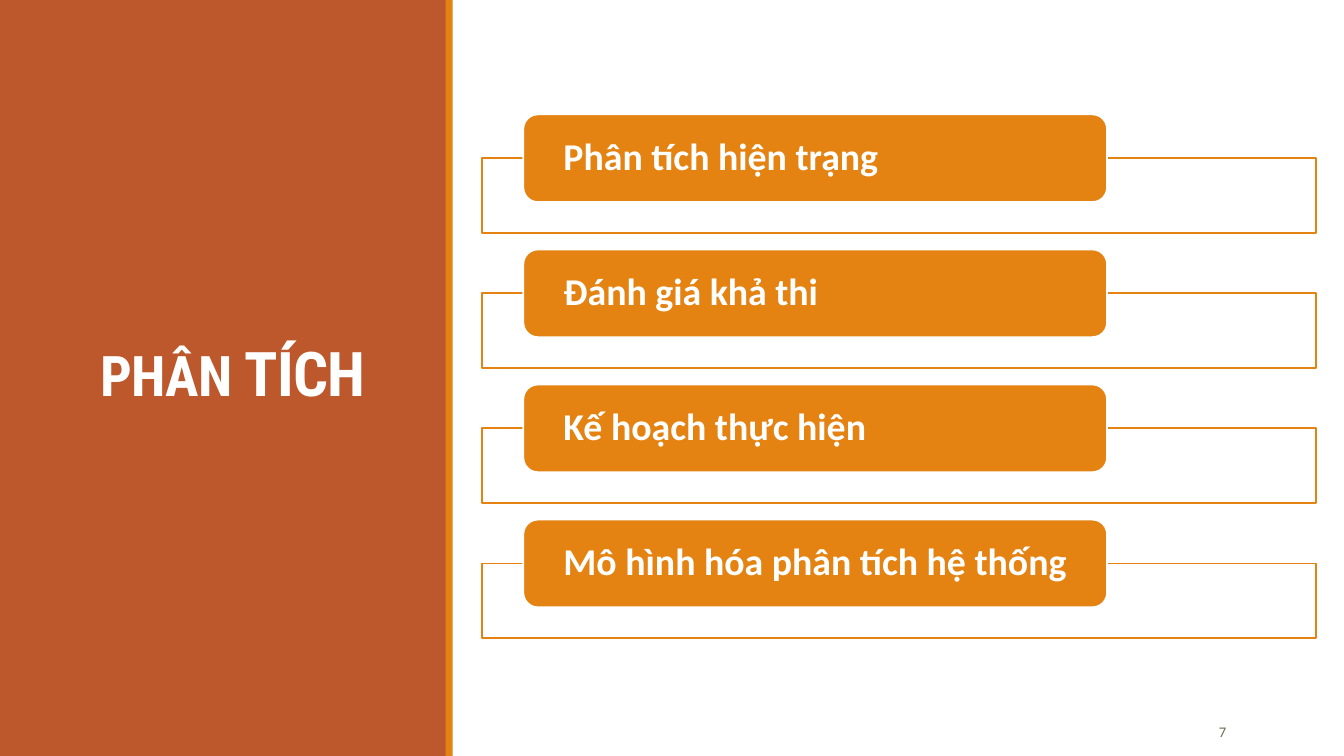
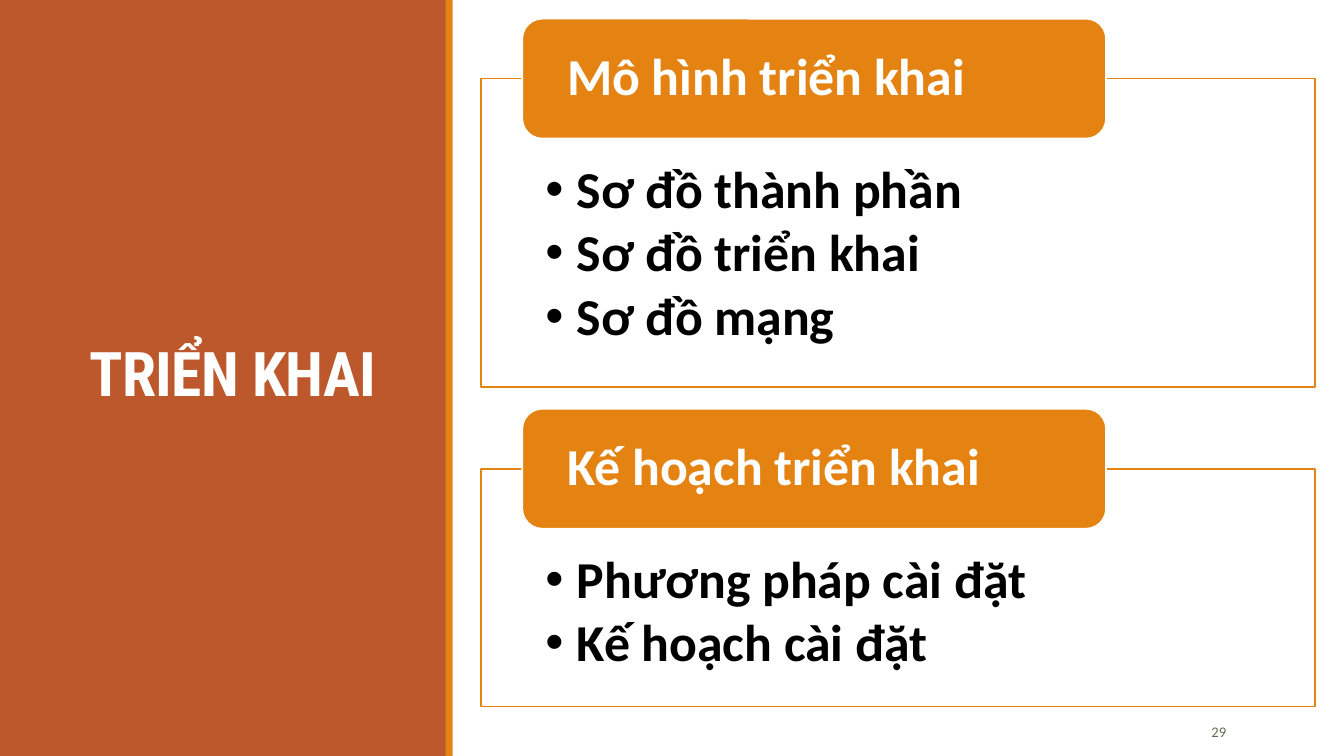
from pptx import Presentation
from pptx.dml.color import RGBColor
from pptx.enum.shapes import MSO_SHAPE as Shape
from pptx.enum.text import MSO_ANCHOR as Anchor, MSO_AUTO_SIZE as AutoSize, PP_ALIGN as Align
from pptx.util import Inches, Pt

RUST = RGBColor(0xBD, 0x58, 0x2C)
ORANGE = RGBColor(0xE4, 0x83, 0x12)
OLIVE = RGBColor(0x63, 0x70, 0x52)
WHITE = RGBColor(0xFF, 0xFF, 0xFF)
BLACK = RGBColor(0, 0, 0)
TITLE_FONT = "Roboto Condensed"
BODY_FONT = "Calibri"
TITLE_ONLY, TWO_CONTENT = 5, 3


def place(shape, left, top, width, height):
    """Move and size a shape, in inches."""
    shape.left, shape.top = Inches(left), Inches(top)
    shape.width, shape.height = Inches(width), Inches(height)


def paint(shape, fill, line=None):
    """Give a shape its fill and its outline."""
    shape.fill.solid()
    shape.fill.fore_color.rgb = fill
    if line is None:
        shape.line.fill.background()
    else:
        shape.line.color.rgb = line
        shape.line.width = Pt(1.25)


def add_box(slide, kind, box, fill, line=None):
    """Add a painted preset shape without a shadow."""
    shape = slide.shapes.add_shape(kind, *map(Inches, box))
    shape.shadow.inherit = False
    paint(shape, fill, line)
    return shape


def style_font(font, name, size, color, bold=True):
    """Set the typeface, size, colour and weight of a font."""
    font.name, font.size, font.bold = name, Pt(size), bold
    font.color.rgb = color


def set_insets(frame, left, top, right, bottom):
    """Set the inner margins of a text frame, in inches."""
    frame.margin_left, frame.margin_top = Inches(left), Inches(top)
    frame.margin_right, frame.margin_bottom = Inches(right), Inches(bottom)


def add_title_panel(slide, title_runs):
    """Draw the side band and set the title on it."""
    add_box(slide, Shape.RECTANGLE, (0, 0, 4.43, 7.5), RUST)
    add_box(slide, Shape.RECTANGLE, (4.42, 0, 0.07, 7.5), ORANGE)
    title = slide.shapes.title
    slide.shapes._spTree.append(title._element)
    place(title, 0.29, 0.66, 4.04, 6.17)
    frame = title.text_frame
    frame.auto_size = AutoSize.NONE
    frame.vertical_anchor = Anchor.MIDDLE
    paragraph = frame.paragraphs[0]
    paragraph.alignment = Align.CENTER
    paragraph.line_spacing = 0.85
    for text, size in title_runs:
        run = paragraph.add_run()
        run.text = text
        style_font(run.font, TITLE_FONT, size, WHITE)
        run.font._element.set("spc", "-50")


def add_page_number(slide, number):
    """Write the page number at the lower right."""
    box = slide.shapes.add_textbox(*map(Inches, (11.07, 7.06, 1.19, 0.4)))
    frame = box.text_frame
    frame.word_wrap = True
    frame.vertical_anchor = Anchor.MIDDLE
    paragraph = frame.paragraphs[0]
    paragraph.text = str(number)
    paragraph.alignment = Align.RIGHT
    style_font(paragraph.runs[0].font, BODY_FONT, 10.5, OLIVE, bold=False)


def add_tab(slide, frame_box, height, heading, size):
    """Add a heading tab centred on the top edge of a frame."""
    left, top = frame_box[:2]
    tab = add_box(slide, Shape.ROUNDED_RECTANGLE,
                  (left + 0.41, top - height / 2, 5.79, height), ORANGE, WHITE)
    frame = tab.text_frame
    frame.word_wrap = True
    frame.vertical_anchor = Anchor.MIDDLE
    set_insets(frame, 0.27 + size * 0.23 / 72, 0, 0.22, 0)
    paragraph = frame.paragraphs[0]
    paragraph.text = heading
    paragraph.alignment = Align.LEFT
    paragraph.line_spacing = 0.9
    style_font(paragraph.runs[0].font, BODY_FONT, size, WHITE)


def fill_list(placeholder, box, items, size):
    """Turn a body placeholder into a framed bullet list."""
    place(placeholder, *box)
    paint(placeholder, WHITE, ORANGE)
    frame = placeholder.text_frame
    frame.auto_size = AutoSize.NONE
    frame.vertical_anchor = Anchor.TOP
    set_insets(frame, 0.64, 0.84, 0.64, 0.29)
    frame.text = "\n".join(items)
    for paragraph in frame.paragraphs:
        paragraph.line_spacing = 0.9
        paragraph.space_before = Pt(0)
        paragraph.space_after = Pt(size * 0.15)
        properties = paragraph._p.get_or_add_pPr()
        properties.set("marL", str(Inches(0.31)))
        properties.set("indent", str(-Inches(0.31)))
        style_font(paragraph.runs[0].font, BODY_FONT, size, BLACK)


def add_section_slide(presentation, layout, title_runs, number):
    """Add a slide with the shared title panel and page number."""
    slide = presentation.slides.add_slide(presentation.slide_layouts[layout])
    add_title_panel(slide, title_runs)
    add_page_number(slide, number)
    return slide


def add_analysis_slide(presentation):
    """Build the analysis slide with evenly spaced headings."""
    slide = add_section_slide(presentation, TITLE_ONLY, [("PHÂN ", 40), ("TÍCH", 44)], 7)
    headings = ["Phân tích hiện trạng", "Đánh giá khả thi",
                "Kế hoạch thực hiện", "Mô hình hóa phân tích hệ thống"]
    for index, heading in enumerate(headings):
        box = (4.78, 1.57 + index * 1.34, 8.27, 0.74)
        add_box(slide, Shape.RECTANGLE, box, WHITE, ORANGE)
        add_tab(slide, box, 0.87, heading, 27)


def add_deployment_slide(presentation):
    """Build the deployment slide with two framed lists."""
    slide = add_section_slide(presentation, TWO_CONTENT, [("TRIỂN KHAI", 44)], 29)
    sections = [
        (0.78, 3.06, "Mô hình triển khai",
         ["Sơ đồ thành phần", "Sơ đồ triển khai", "Sơ đồ mạng"]),
        (4.65, 2.36, "Kế hoạch triển khai",
         ["Phương pháp cài đặt", "Kế hoạch cài đặt"]),
    ]
    for index, (top, height, heading, items) in enumerate(sections, start=1):
        box = (4.77, top, 8.27, height)
        fill_list(slide.placeholders[index], box, items, 37)
        add_tab(slide, box, 1.19, heading, 37)


def main():
    """Create the presentation and save it."""
    presentation = Presentation()
    presentation.slide_width = Inches(13.33)
    presentation.slide_height = Inches(7.5)
    add_analysis_slide(presentation)
    add_deployment_slide(presentation)
    presentation.save("out.pptx")


if __name__ == "__main__":
    main()
